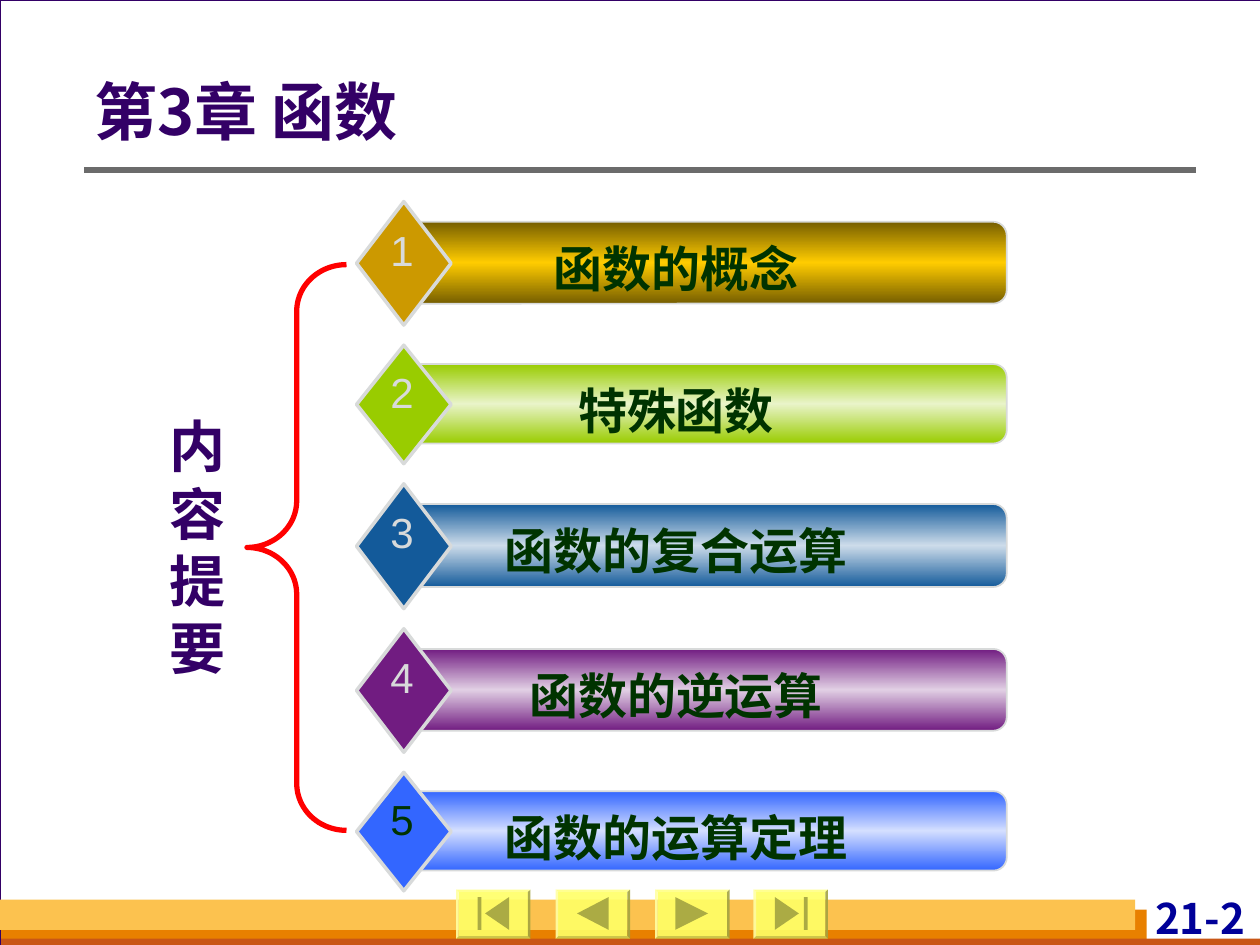
from copy import deepcopy
from dataclasses import dataclass

from lxml import etree
from pptx import Presentation
from pptx.dml.color import RGBColor
from pptx.enum.shapes import MSO_CONNECTOR, MSO_SHAPE
from pptx.enum.text import MSO_ANCHOR, PP_ALIGN
from pptx.oxml.ns import qn
from pptx.util import Pt

PX = 9144  # EMU per px, 100 px to the inch
RECT, ROUND_RECT = MSO_SHAPE.RECTANGLE, MSO_SHAPE.ROUNDED_RECTANGLE
DIAMOND, BRACE = MSO_SHAPE.DIAMOND, MSO_SHAPE.LEFT_BRACE
LEFT, CENTER, RIGHT = PP_ALIGN.LEFT, PP_ALIGN.CENTER, PP_ALIGN.RIGHT
LATIN, CJK = "Arial", "Noto Sans CJK SC"

WHITE = RGBColor(0xFF, 0xFF, 0xFF)
SILVER = RGBColor(0xD8, 0xDA, 0xDA)
PURPLE = RGBColor(0x33, 0x00, 0x66)
GREEN = RGBColor(0x00, 0x33, 0x00)
NAVY = RGBColor(0x00, 0x00, 0x99)
RED = RGBColor(0xFF, 0x00, 0x00)
GRAY = RGBColor(0x6B, 0x6B, 0x6B)
ORANGE = RGBColor(0xE8, 0x80, 0x00)
RUST = RGBColor(0xC9, 0x56, 0x16)
AMBER = RGBColor(0xFC, 0xC2, 0x4F)
FACE = RGBColor(0xFF, 0xFF, 0x66)
BEVEL_TOP = RGBColor(0xFF, 0xFF, 0x85)
BEVEL_LEFT = RGBColor(0xFF, 0xFF, 0xA3)
BEVEL_BOTTOM = RGBColor(0xCC, 0xCC, 0x52)
BEVEL_RIGHT = RGBColor(0xA3, 0xA3, 0x41)


@dataclass(frozen=True)
class Topic:
    label: str
    top: int
    height: int
    diamond: RGBColor
    edge: RGBColor
    middle: RGBColor
    digit: RGBColor = SILVER


@dataclass(frozen=True)
class Button:
    left: int
    icons: tuple


def rgb(code: str) -> RGBColor:
    return RGBColor.from_string(code)


def topic(label: str, top: int, height: int, base: str, middle: str) -> Topic:
    """A topic whose diamond has the edge colour of its bar."""
    return Topic(label, top, height, rgb(base), rgb(base), rgb(middle))


TOPICS = [
    Topic("函数的概念", 176, 65, rgb("CC9900"), rgb("765E00"), rgb("FFCC00")),
    topic("特殊函数", 289, 63, "99CC00", "E9F4C9"),
    topic("函数的复合运算", 400, 66, "135A9A", "CDDCEA"),
    topic("函数的逆运算", 515, 65, "711C81", "E1CFE4"),
    Topic("函数的运算定理", 628, 63, rgb("3366FF"), rgb("3366FF"),
          rgb("D4DFFF"), GREEN),
]

# Icon points are relative to the top left corner of a button
BUTTON_W, BUTTON_H, BEVEL, BUTTON_TOP = 59, 39, 2, 706
BUTTONS = [
    Button(362, (((23, 19), (42, 6), (42, 32)),
                 ((17, 6), (20, 6), (20, 32), (17, 32)))),
    Button(441, (((17, 19), (42, 6), (42, 32)),)),
    Button(520, (((16, 6), (42, 19), (16, 32)),)),
    Button(598, (((36, 19), (17, 32), (17, 6)),
                 ((40, 6), (43, 6), (43, 32), (40, 32)))),
]


def add_box(s, kind, x: int, y: int, w: int, h: int, fill=None, line=None,
            width: float = 1):
    sp = s.shapes.add_shape(kind, x * PX, y * PX, w * PX, h * PX)
    sp.shadow.inherit = False
    if fill is None:
        sp.fill.background()
    else:
        sp.fill.solid()
        sp.fill.fore_color.rgb = fill
    if line is None:
        sp.line.fill.background()
    else:
        sp.line.color.rgb = line
        sp.line.width = Pt(width)
    return sp


def fill_banded(sp, edge: RGBColor, middle: RGBColor) -> None:
    """Vertical gradient from edge to middle and back to edge."""
    sp.fill.gradient()
    sp.fill.gradient_angle = 90
    stops = sp._element.spPr.find(qn("a:gradFill")).find(qn("a:gsLst"))
    stops.insert(1, deepcopy(stops[0]))
    for stop, color, position in zip(sp.fill.gradient_stops,
                                     (edge, middle, edge), (0, 0.5, 1)):
        stop.color.rgb = color
        stop.position = position


def add_run(p, text: str, size: int, color: RGBColor, font: str, bold: bool) -> None:
    r = p.add_run()
    r.text = text
    r.font.size = Pt(size)
    r.font.bold = bold
    r.font.color.rgb = color
    r.font.name = font
    etree.SubElement(r._r.get_or_add_rPr(), qn("a:ea"), typeface=CJK)


def set_insets(tf, left: int, top: int, right: int, bottom: int) -> None:
    tf.margin_left, tf.margin_top = left * PX, top * PX
    tf.margin_right, tf.margin_bottom = right * PX, bottom * PX


def add_text(s, x: int, y: int, w: int, h: int, text: str, size: int,
             color: RGBColor, font: str = LATIN, bold: bool = True,
             align=CENTER, wrap: bool = True, insets=(10, 5, 10, 5)) -> None:
    tf = s.shapes.add_textbox(x * PX, y * PX, w * PX, h * PX).text_frame
    tf.word_wrap = wrap
    set_insets(tf, *insets)
    p = tf.paragraphs[0]
    p.alignment = align
    add_run(p, text, size, color, font, bold)


def add_polygon(s, points, color: RGBColor) -> None:
    builder = s.shapes.build_freeform(*points[0], scale=PX)
    builder.add_line_segments(points[1:], close=True)
    sp = builder.convert_to_shape()
    sp.shadow.inherit = False
    sp.fill.solid()
    sp.fill.fore_color.rgb = color
    sp.line.fill.background()
    clr = sp._element.spPr.find(qn("a:solidFill"))[0]
    etree.SubElement(clr, qn("a:alpha"), val="90000")


def add_button(s, button: Button) -> None:
    x, y = button.left, BUTTON_TOP
    r, b = x + BUTTON_W, y + BUTTON_H
    outer = [(x, y), (r, y), (r, b), (x, b)]
    inner = [(x + BEVEL, y + BEVEL), (r - BEVEL, y + BEVEL),
             (r - BEVEL, b - BEVEL), (x + BEVEL, b - BEVEL)]
    add_polygon(s, inner, FACE)
    bevels = (BEVEL_TOP, BEVEL_RIGHT, BEVEL_BOTTOM, BEVEL_LEFT)
    for i, color in enumerate(bevels):
        j = (i + 1) % 4
        add_polygon(s, [outer[i], outer[j], inner[j], inner[i]], color)
    for icon in button.icons:
        add_polygon(s, [(x + dx, y + dy) for dx, dy in icon], BEVEL_RIGHT)


def add_topic(s, number: int, t: Topic) -> None:
    bar = add_box(s, ROUND_RECT, 324, t.top, 475, t.height, line=SILVER)
    fill_banded(bar, t.edge, t.middle)
    diamond_h = round(t.height * 1.5)
    add_box(s, DIAMOND, 283, t.top - (diamond_h - t.height) // 2, 75, diamond_h,
            t.diamond, SILVER, 2)
    add_text(s, 349, t.top + 8, 375, 57, t.label, 28, GREEN)
    add_text(s, 300, t.top - 3, 38, 50, str(number), 24, t.digit,
             bold=False, wrap=False)


def add_rule(s) -> None:
    line = s.shapes.add_connector(MSO_CONNECTOR.STRAIGHT, 67 * PX, 135 * PX,
                                  949 * PX, 135 * PX)
    line.line.color.rgb = GRAY
    line.line.width = Pt(3)
    etree.SubElement(line._element.spPr, qn("a:effectLst"))


def place_title(s) -> None:
    title = s.shapes.title
    s.shapes._spTree.append(title._element)  # in front of the backdrop
    title.left, title.top = 75 * PX, 59 * PX
    title.width, title.height = 868 * PX, 64 * PX
    tf = title.text_frame
    tf.vertical_anchor = MSO_ANCHOR.MIDDLE
    set_insets(tf, 0, 5, 10, 5)
    p = tf.paragraphs[0]
    p.alignment = LEFT
    p.line_spacing = 0.9
    add_run(p, "第3章 函数", 36, PURPLE, CJK, True)


def main() -> None:
    prs = Presentation()
    prs.slide_width, prs.slide_height = 1000 * PX, 750 * PX
    s = prs.slides.add_slide(prs.slide_layouts[5])
    s.background.fill.solid()
    s.background.fill.fore_color.rgb = SILVER

    add_box(s, RECT, 0, 0, 1001, 750, WHITE, PURPLE, 0.75)
    add_box(s, RECT, 1, 722, 909, 28, ORANGE)
    add_box(s, RECT, 1, 745, 1000, 8, RUST)
    add_box(s, RECT, 0, 714, 901, 24, AMBER)
    add_text(s, 847, 708, 145, 40, "21-2", 24, NAVY, CJK, align=RIGHT,
             insets=(4, 0, 4, 0))
    add_rule(s)
    for button in BUTTONS:
        add_button(s, button)
    place_title(s)

    for number, t in enumerate(TOPICS, 1):
        add_topic(s, number, t)
    add_text(s, 125, 322, 63, 224, "内容提要", 32, PURPLE, CJK, align=LEFT)
    brace = add_box(s, BRACE, 196, 210, 79, 449, line=RED, width=3)
    brace.adjustments[0] = 0.47
    prs.save("out.pptx")


if __name__ == "__main__":
    main()
